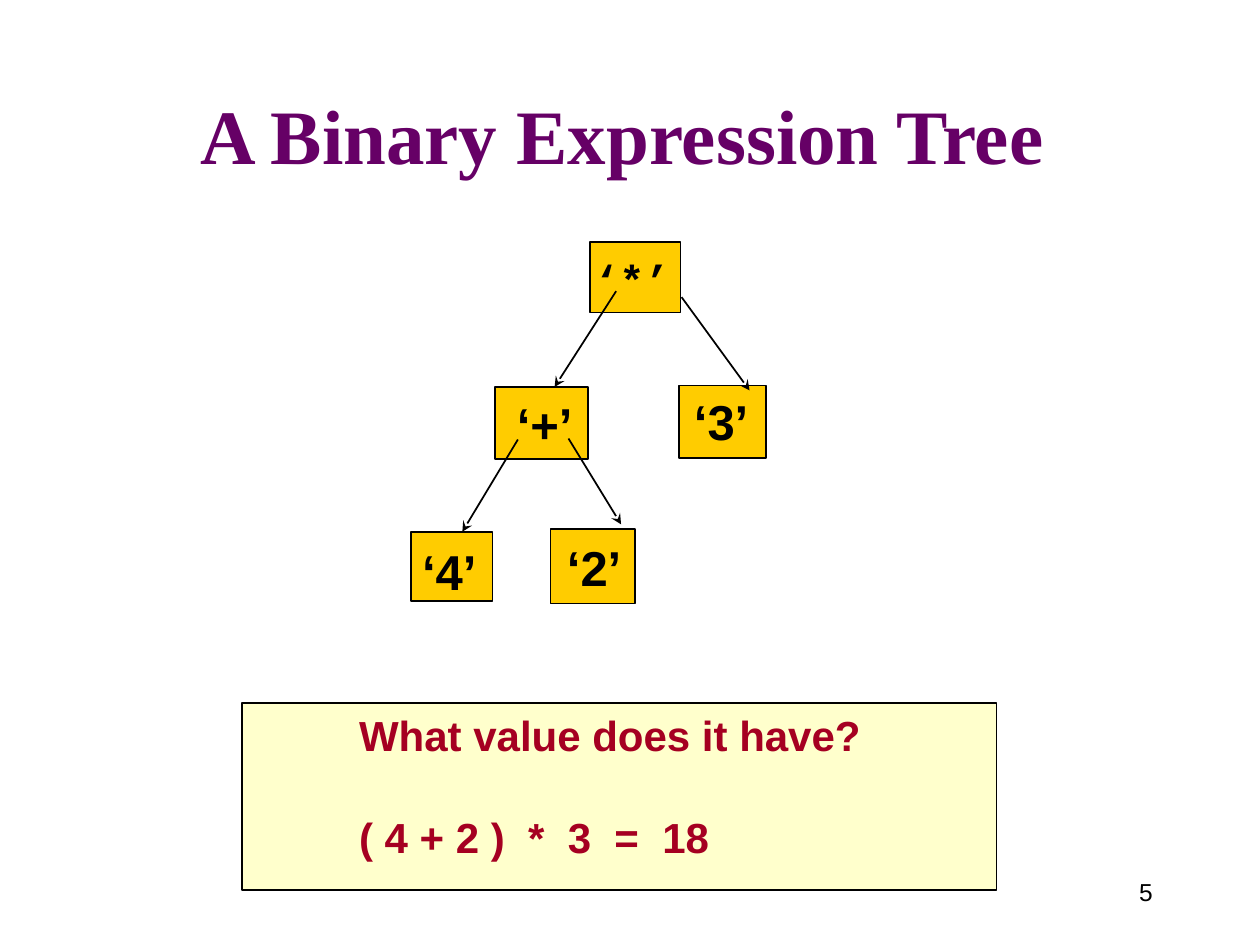
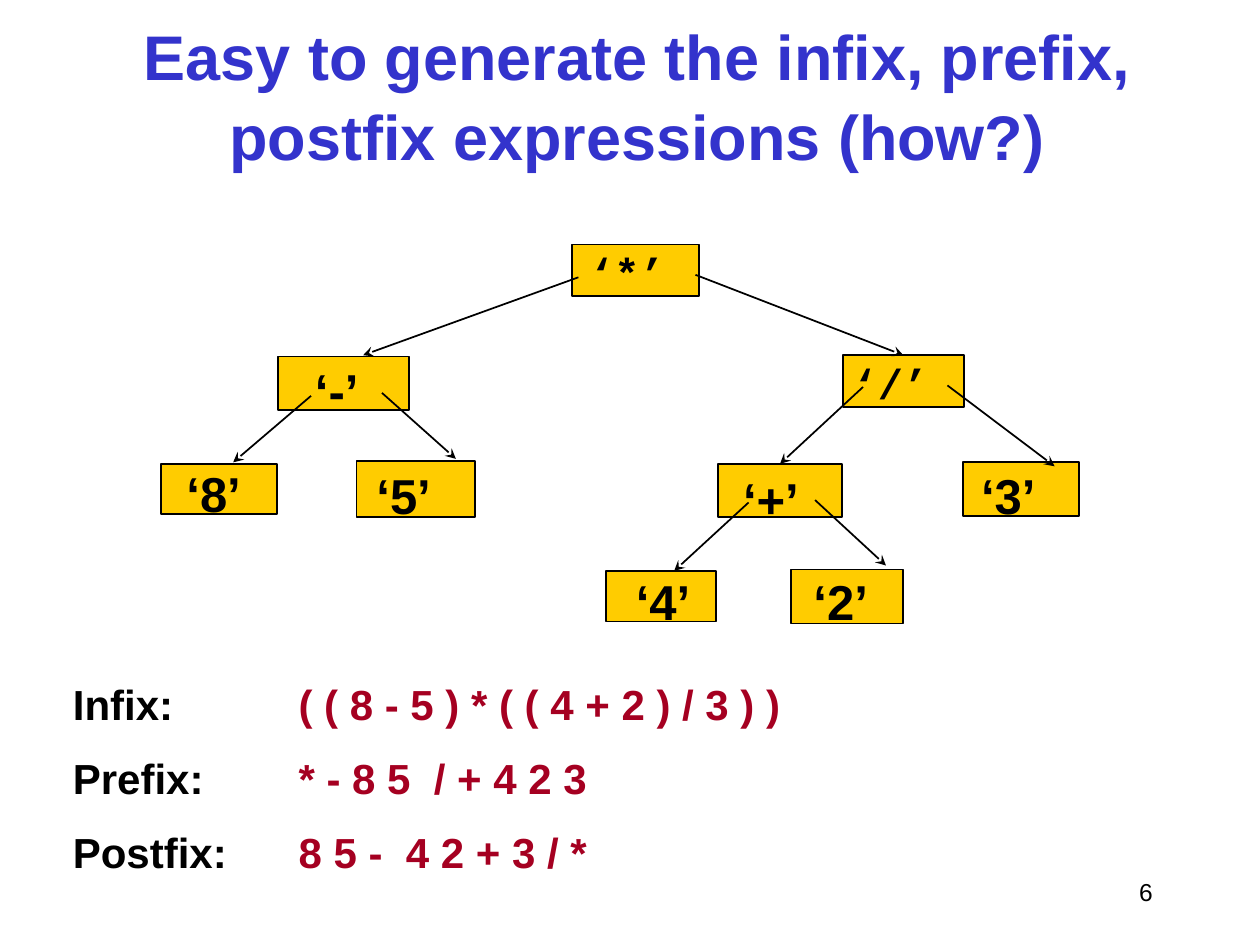
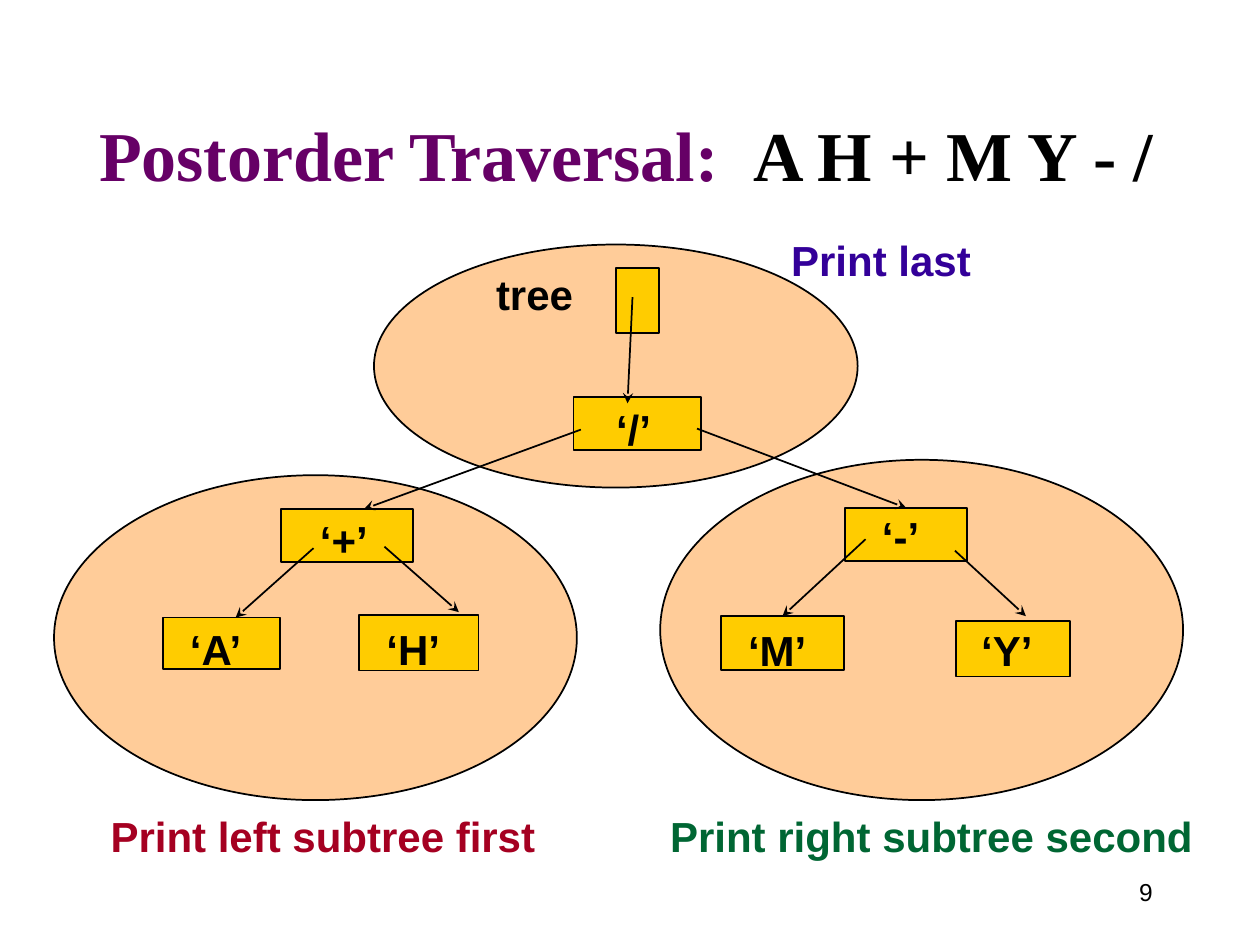
from dataclasses import dataclass
from math import dist

from lxml import etree
from pptx import Presentation
from pptx.dml.color import RGBColor
from pptx.enum import shapes, text
from pptx.oxml import ns
from pptx.util import Cm, Pt


@dataclass(frozen=True)
class Theme:
    ink: str = "000000"
    plum: str = "660066"
    blue: str = "3333CC"
    red: str = "A50021"
    green: str = "006633"
    violet: str = "330099"
    gold: str = "FFCC00"
    cream: str = "FFFFCC"
    peach: str = "FFCC99"
    sans: str = "Arial"
    serif: str = "Times New Roman"
    mono: str = "Courier New"
    body: int = 24
    node: int = 28
    foot: int = 14


T = Theme()
NUM_BOX = (21.79, 17.35, 1.7, 1.27)
SNAP = 0.14  # arrow tips this near a node's top middle are joined to it

# Node: mark, box (left, top, width, height), label corner, arrow from its parent
VALUE = [
    ("‘*’", (11.89, 4.88, 1.83, 1.42), (11.73, 4.98), None),
    ("‘+’", (9.98, 7.8, 1.88, 1.45), (10.17, 7.82), (12.42, 5.87, 11.18, 7.8)),
    ("‘3’", (13.69, 7.77, 1.75, 1.47), (13.74, 7.77), (13.74, 5.99, 15.11, 7.87)),
    ("‘4’", (8.28, 10.72, 1.65, 1.4), (8.26, 10.8), (10.44, 8.86, 9.32, 10.72)),
    ("‘2’", (11.1, 10.67, 1.7, 1.5), (11.18, 10.72), (11.46, 8.84, 12.52, 10.57)),
]
FORMS = [
    ("‘*’", (11.53, 4.93, 2.57, 1.04), (11.63, 4.85), None),
    ("‘-’", (5.61, 7.19, 2.64, 1.07), (6.1, 7.14), (11.66, 5.59, 7.32, 7.16)),
    ("‘8’", (3.25, 9.35, 2.34, 1.02), (3.51, 9.22), (6.27, 7.98, 4.7, 9.32)),
    ("‘5’", (7.19, 9.3, 2.39, 1.12), (7.34, 9.25), (7.7, 7.92, 9.19, 9.25)),
    ("‘/’", (16.99, 7.16, 2.44, 1.04), (16.94, 7.09), (14.02, 5.54, 18.14, 7.19)),
    ("‘+’", (14.48, 9.35, 2.49, 1.07), (14.73, 9.35), (17.4, 7.8, 15.75, 9.22)),
    ("‘3’", (19.41, 9.32, 2.34, 1.09), (19.53, 9.25), (19.1, 7.77, 21.26, 9.4)),
    ("‘4’", (12.22, 11.51, 2.21, 1.02), (12.57, 11.4), (15.09, 10.13, 13.59, 11.51)),
    ("‘2’", (15.95, 11.48, 2.26, 1.09), (16.15, 11.4), (16.43, 10.08, 17.86, 11.4)),
]
ORDER = [
    ("tree", (12.42, 5.41, 0.86, 1.3), (9.75, 5.28), None),
    ("‘/’", (11.56, 8, 2.57, 1.07), (12.17, 8), (12.75, 5.99, 12.65, 8.13)),
    ("‘+’", (5.66, 10.26, 2.67, 1.07), (6.2, 10.24), (11.71, 8.66, 7.34, 10.26)),
    ("‘A’", (3.28, 12.45, 2.36, 1.04), (3.58, 12.45), (6.32, 11.05, 4.75, 12.45)),
    ("‘H’", (7.24, 12.4, 2.41, 1.12), (7.54, 12.45), (7.75, 11.02, 9.25, 12.34)),
    ("‘-’", (17.04, 10.24, 2.46, 1.07), (17.53, 10.16), (14.05, 8.64, 18.19, 10.31)),
    ("‘M’", (14.53, 12.42, 2.49, 1.09), (14.83, 12.47), (17.45, 10.87, 15.8, 12.34)),
    ("‘Y’", (19.28, 12.52, 2.29, 1.12), (19.53, 12.47), (19.25, 11.1, 20.68, 12.42)),
]

ANSWER = ["What value does it have?", "( 4 + 2 )  *  3  =  18"]
NOTES = [
    ("Infix:", "( ( 8 - 5 ) * ( ( 4 + 2 ) / 3 ) )"),
    ("Prefix:", "* - 8 5  / + 4 2 3"),
    ("Postfix:", "8 5 -  4 2 + 3 / *"),
]
OVALS = [
    (13.31, 9.27, 10.54, 6.86),
    (7.54, 4.93, 9.75, 4.9),
    (1.09, 9.58, 10.54, 6.55),
]
STEPS = [
    ("Print left subtree first", (1.98, 16.21, 9.07, 1.27), T.red),
    ("Print right subtree second", (13.26, 16.21, 11.05, 1.27), T.green),
    ("Print last", (15.7, 4.6, 4.14, 1.27), T.violet),
]


def rgb(code):
    return RGBColor.from_string(code)


def cms(box):
    return [Cm(n) for n in box]


def write(frame, lines, size=T.body, color=T.ink, font=T.sans, bold=True,
          align=text.PP_ALIGN.LEFT, anchor=text.MSO_ANCHOR.TOP,
          wrap=True, gap=0, lead=None, tab=None):
    """Fill a frame; a line is a string or a list of (text, colour) runs."""
    frame.word_wrap = wrap
    frame.auto_size = text.MSO_AUTO_SIZE.NONE
    frame.vertical_anchor = anchor
    for i, line in enumerate(lines):
        para = frame.add_paragraph() if i else frame.paragraphs[0]
        para.alignment = align
        para.space_after = Pt(gap)
        if lead:
            para.line_spacing = lead
        if tab:
            stops = etree.SubElement(para._p.get_or_add_pPr(), ns.qn("a:tabLst"))
            etree.SubElement(stops, ns.qn("a:tab"), pos=str(Cm(tab)), algn="l")
        for words, tint in [(line, color)] if isinstance(line, str) else line:
            run = para.add_run()
            run.text = words
            run.font.size = Pt(size)
            run.font.name = font
            run.font.bold = bold
            run.font.color.rgb = rgb(tint)


def label(slide, box, lines, **form):
    write(slide.shapes.add_textbox(*cms(box)).text_frame, lines, **form)


def shape(slide, kind, box, fill):
    item = slide.shapes.add_shape(kind, *cms(box))
    item.shadow.inherit = False
    item.fill.solid()
    item.fill.fore_color.rgb = rgb(fill)
    item.line.color.rgb = rgb(T.ink)
    item.line.width = Pt(1)
    return item


def arrow(slide, ends, node, box):
    line = slide.shapes.add_connector(shapes.MSO_CONNECTOR.STRAIGHT, *cms(ends))
    left, top, width, _ = box
    if dist(ends[2:], (left + width / 2, top)) < SNAP:
        line.end_connect(node, 0)
    line.line.color.rgb = rgb(T.ink)
    line.line.width = Pt(1)
    etree.SubElement(line.line._get_or_add_ln(), ns.qn("a:tailEnd"), type="stealth")
    etree.SubElement(line._element.spPr, ns.qn("a:effectLst"))


def tree(slide, nodes, size=T.node, mono=()):
    """Draw boxes, then arrows, then marks; marks in mono use the fixed font."""
    boxes = [shape(slide, shapes.MSO_SHAPE.RECTANGLE, n[1], T.gold) for n in nodes]
    for node, (_, box, _, ends) in zip(boxes, nodes):
        if ends:
            arrow(slide, ends, node, box)
    for mark, _, spot, _ in nodes:
        wide = mark in mono or mark == "tree"
        high = 1.27 if size == T.body or wide else 1.45
        label(slide, (*spot, 2.1 if wide else 1.75, high), [mark],
              size=T.body if wide else size,
              font=T.mono if mark in mono else T.sans)


def page(deck, number, title, box, **form):
    slide = deck.slides.add_slide(deck.slide_layouts[5])
    head = slide.shapes.title
    head.left, head.top, head.width, head.height = cms(box)
    write(head.text_frame, [title], align=text.PP_ALIGN.CENTER,
          anchor=text.MSO_ANCHOR.BOTTOM, **form)
    label(slide, NUM_BOX, [str(number)], size=T.foot, bold=False,
          align=text.PP_ALIGN.RIGHT, anchor=text.MSO_ANCHOR.MIDDLE)
    return slide


def main():
    deck = Presentation()
    deck.slide_width, deck.slide_height = Cm(25.4), Cm(19.05)

    slide = page(deck, 5, "A Binary Expression Tree", (1.65, 0.58, 21.79, 3.18),
                 size=44, color=T.plum, font=T.serif)
    shape(slide, shapes.MSO_SHAPE.RECTANGLE, (4.88, 14.17, 15.21, 3.78), T.cream)
    label(slide, (6.99, 14.17, 10.62, 3.3), ANSWER, color=T.red, gap=30)
    tree(slide, VALUE, mono=("‘*’",))

    slide = page(deck, 6, "Easy to generate the infix, prefix, postfix expressions (how?)",
                 (1.02, 0.43, 23.65, 3.18), size=36, color=T.blue, lead=1.05)
    lines = [[(name, T.ink), ("\t" + form, T.red)] for name, form in NOTES]
    label(slide, (1.22, 13.56, 14.83, 4.17), lines, gap=13.5, tab=4.55)
    tree(slide, FORMS, mono=("‘*’", "‘/’"))

    slide = page(deck, 9, [("Postorder Traversal:  ", T.plum), ("A H + M Y - /", T.ink)],
                 (0.8, 0.89, 23.65, 3.18), size=40, font=T.serif)
    for oval in OVALS:
        shape(slide, shapes.MSO_SHAPE.OVAL, oval, T.peach)
    tree(slide, ORDER, size=T.body)
    for words, box, color in STEPS:
        label(slide, box, [words], color=color, wrap=False)

    deck.save("out.pptx")


if __name__ == "__main__":
    main()
